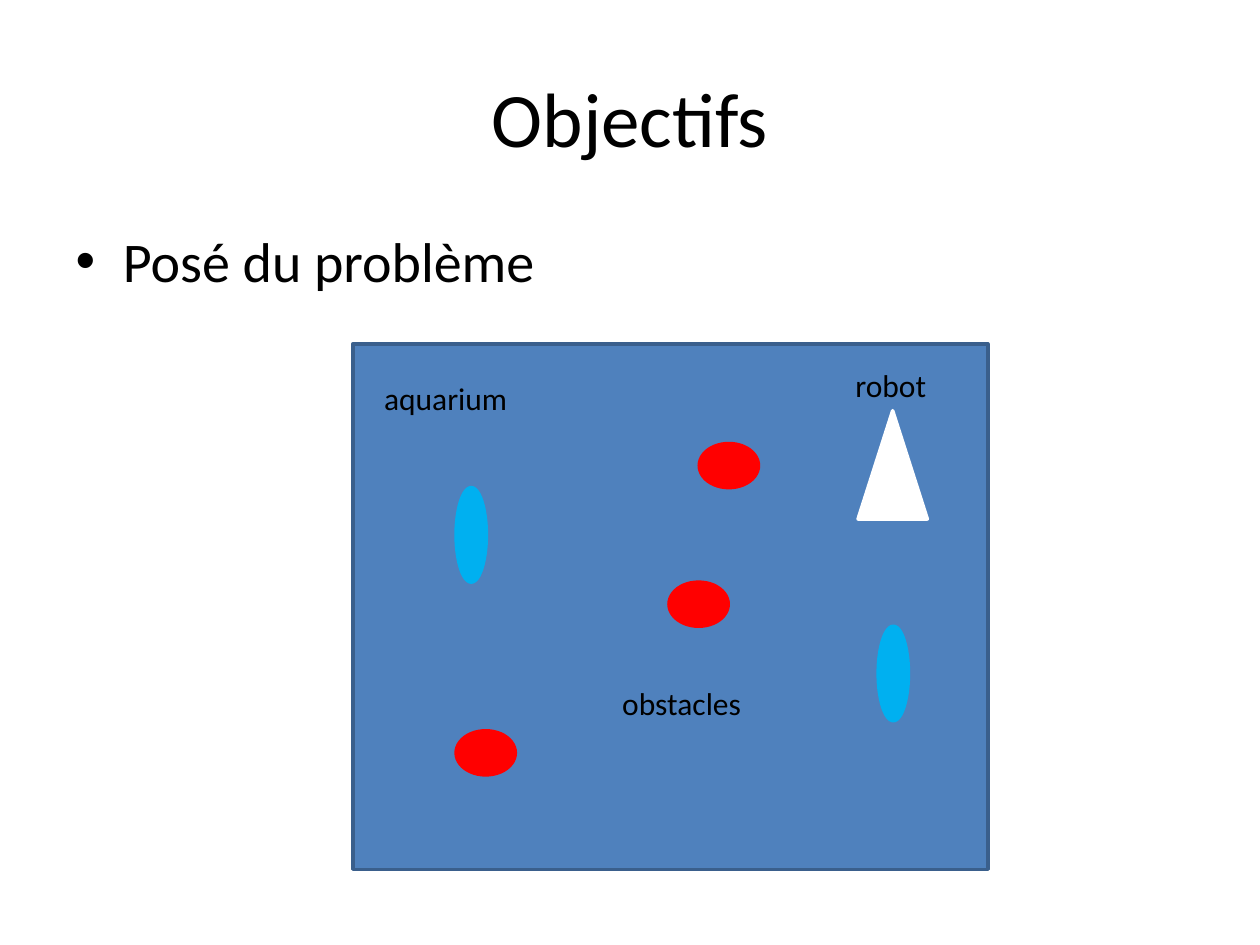
from pptx import Presentation
from pptx.dml.color import RGBColor
from pptx.enum.shapes import MSO_SHAPE
from pptx.enum.text import MSO_ANCHOR, MSO_AUTO_SIZE, PP_ALIGN

RECT, OVAL, TRIANGLE = MSO_SHAPE.RECTANGLE, MSO_SHAPE.OVAL, MSO_SHAPE.ISOSCELES_TRIANGLE
LEFT, CENTER = PP_ALIGN.LEFT, PP_ALIGN.CENTER
TOP, MIDDLE = MSO_ANCHOR.TOP, MSO_ANCHOR.MIDDLE
FIT_SHAPE, NO_FIT = MSO_AUTO_SIZE.SHAPE_TO_FIT_TEXT, MSO_AUTO_SIZE.NONE

from pptx.util import Inches, Pt

FONT = "Calibri"
BLACK, WHITE, RED, CYAN = "000000", "FFFFFF", "FF0000", "00B0F0"
WATER, WATER_EDGE = "4F81BD", "3A5F8C"

ROUND_SIZE, TALL_SIZE = (0.47, 0.35), (0.24, 0.75)
ROUND_OBSTACLES = [(5.31, 4.62), (3.62, 5.8), (5.55, 3.52)]
TALL_OBSTACLES = [(6.97, 4.97), (3.62, 3.87)]
LABELS = [("aquarium", 2.95, 2.96, 1.34), ("obstacles", 4.84, 5.38, 1.34),
          ("robot", 6.69, 2.86, 0.79)]


def color(value):
    return RGBColor.from_string(value)


def write(tf, text, size=18, align=LEFT, anchor=TOP, fit=NO_FIT):
    tf.word_wrap = True
    tf.auto_size = fit
    tf.vertical_anchor = anchor
    p = tf.paragraphs[0]
    p.alignment = align
    r = p.add_run()
    r.text = text
    r.font.name, r.font.size = FONT, Pt(size)
    r.font.color.rgb = color(BLACK)


def place(sp, x, y, w, h):
    sp.left, sp.top, sp.width, sp.height = map(Inches, (x, y, w, h))


def add_figure(s, kind, x, y, w, h, fill, line=None):
    sp = s.shapes.add_shape(kind, Inches(x), Inches(y), Inches(w), Inches(h))
    sp.shadow.inherit = False
    sp.fill.solid()
    sp.fill.fore_color.rgb = color(fill)
    sp.line.color.rgb = color(line or fill)
    sp.line.width = Pt(2)


def add_label(s, text, x, y, w, h=0.4):
    sp = s.shapes.add_textbox(Inches(x), Inches(y), Inches(w), Inches(h))
    write(sp.text_frame, text, fit=FIT_SHAPE)


def main():
    prs = Presentation()
    prs.slide_width, prs.slide_height = Inches(10), Inches(7.5)
    s = prs.slides.add_slide(prs.slide_layouts[1])

    # Title and bullet
    title, body = s.shapes.title, s.placeholders[1]
    place(title, 0.5, 0.3, 9, 1.25)
    write(title.text_frame, "Objectifs", size=44, align=CENTER, anchor=MIDDLE)
    place(body, 0.5, 1.75, 9, 4.95)
    write(body.text_frame, "Posé du problème", size=32)

    # Aquarium with its obstacles and robot
    add_figure(s, RECT, 2.8, 2.73, 5.04, 4.17, WATER, WATER_EDGE)
    for x, y in ROUND_OBSTACLES:
        add_figure(s, OVAL, x, y, *ROUND_SIZE, RED)
    for x, y in TALL_OBSTACLES:
        add_figure(s, OVAL, x, y, *TALL_SIZE, CYAN)
    add_figure(s, TRIANGLE, 6.81, 3.26, 0.55, 0.86, WHITE)

    # Labels
    for label in LABELS:
        add_label(s, *label)

    prs.save("out.pptx")


if __name__ == "__main__":
    main()
